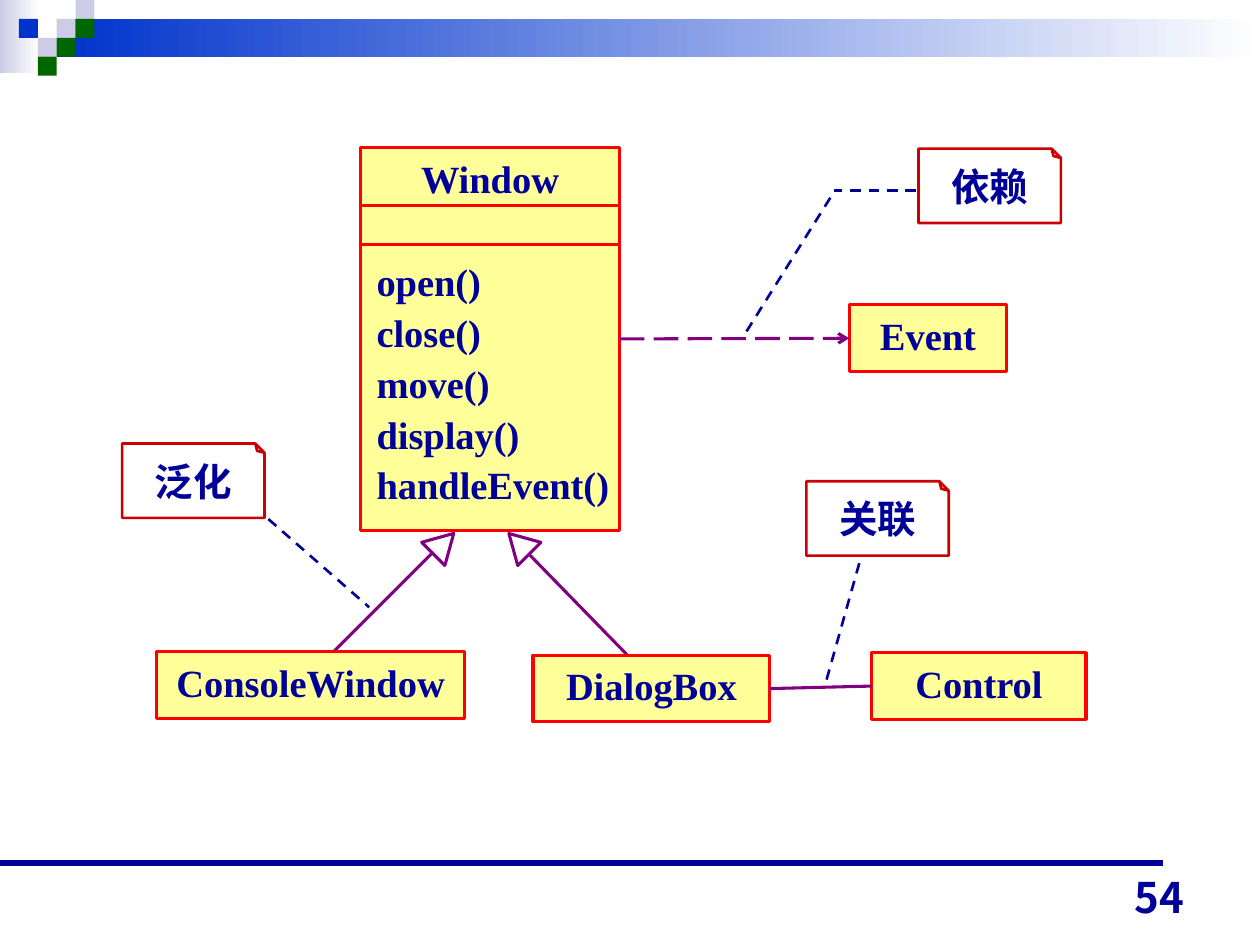
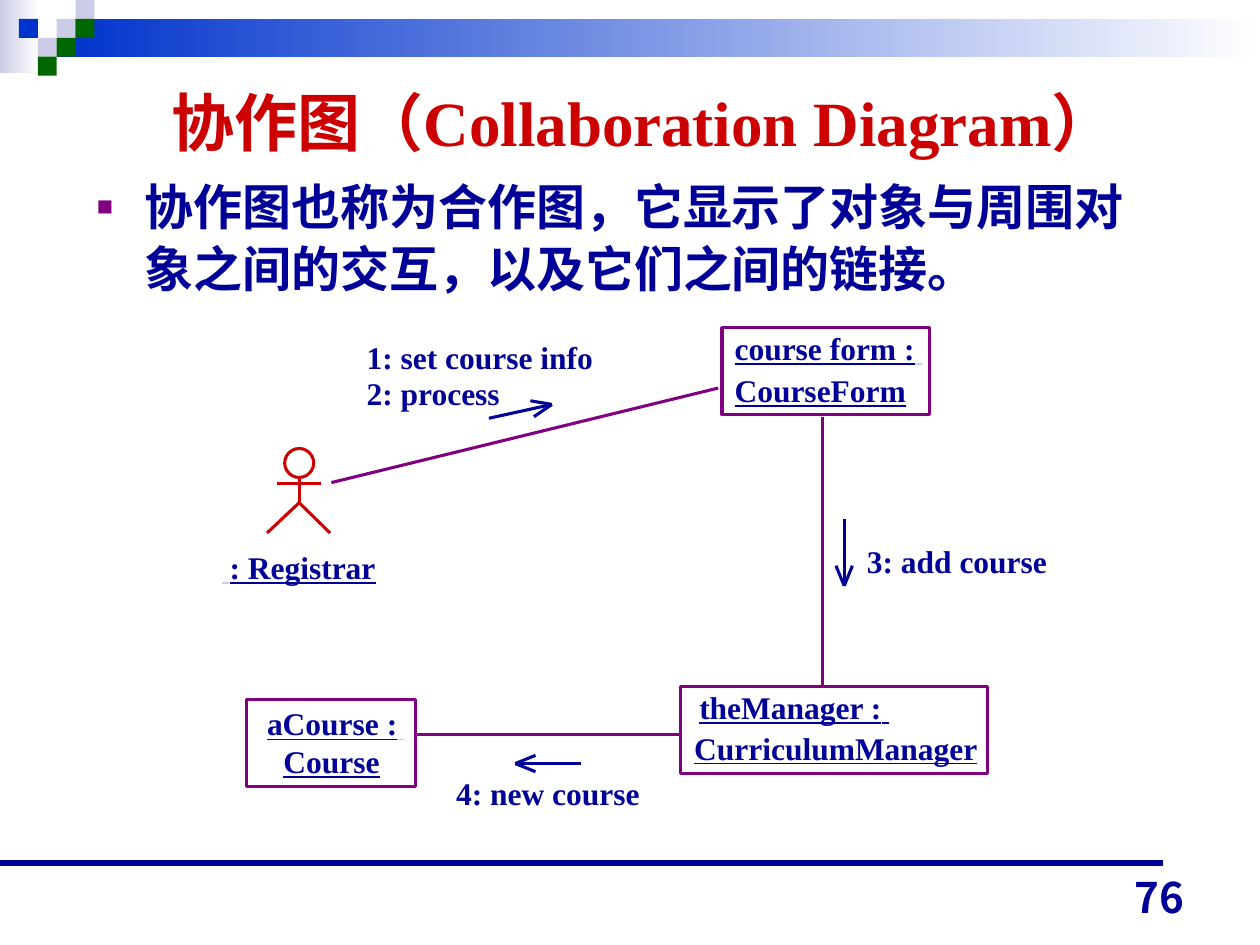
import math
from dataclasses import dataclass

import pptx
import pptx.dml.color
import pptx.enum.dml
import pptx.enum.shapes
import pptx.enum.text
import pptx.oxml.ns
import pptx.util
from lxml import etree

SHAPE = pptx.enum.shapes.MSO_SHAPE
ALIGN = pptx.enum.text.PP_ALIGN
ANCHOR = pptx.enum.text.MSO_ANCHOR
DASH = pptx.enum.dml.MSO_LINE
Pt = pptx.util.Pt
COLUMNS, ROWS = 100, 75


@dataclass(frozen=True)
class Theme:
    navy: str = "000099"
    red: str = "CC0000"
    purple: str = "800080"
    class_line: str = "FF0000"
    class_fill: str = "FFFF99"
    blue: str = "0033CC"
    green: str = "006600"
    pale: str = "CCCCE6"
    white: str = "FFFFFF"
    serif: str = "Times New Roman"
    sans: str = "Arial"
    east_asian: str = "Noto Sans CJK JP"
    title_size: float = 36
    body_size: float = 28
    number_size: float = 24
    class_size: float = 22
    label_size: float = 18
    stroke: float = 1.75
    note_stroke: float = 1.5
    rule_stroke: float = 3.5


THEME = Theme()


def grid(cells):
    """Length of a number of grid cells; a cell is a tenth of an inch square."""
    return pptx.util.Inches(cells * 10 / COLUMNS)


def rgb(color):
    return pptx.dml.color.RGBColor.from_string(color)


def add_xml(parent, tag, **attributes):
    return etree.SubElement(parent, pptx.oxml.ns.qn(tag), attributes)


def set_all(target, values):
    for name, value in values.items():
        setattr(target, name, value)


def format_line(line, color, width, dash=None):
    line.color.rgb = rgb(color)
    set_all(line, {"width": Pt(width), "dash_style": dash})


def add_box(slide, kind, area, fill=None, line=None, width=THEME.stroke):
    shape = slide.shapes.add_shape(kind, *map(grid, area))
    style_outline(shape, fill, line, width)
    return shape


def style_outline(shape, fill, line, width=THEME.stroke):
    shape.shadow.inherit = False
    if fill:
        shape.fill.solid()
        shape.fill.fore_color.rgb = rgb(fill)
    else:
        shape.fill.background()
    if line:
        format_line(shape.line, line, width)
    else:
        shape.line.fill.background()


def add_line(slide, start, end, color=THEME.purple, width=THEME.stroke, dash=None):
    connector = slide.shapes.add_connector(
        pptx.enum.shapes.MSO_CONNECTOR.STRAIGHT, *map(grid, (*start, *end)))
    format_line(connector.line, color, width, dash)
    add_xml(connector._element.spPr, "a:effectLst")
    return connector


def join_sides(slide, left_box, right_box, dash=None):
    connector = add_line(slide, (0, 0), (1, 1), dash=dash)
    connector.begin_connect(left_box, 3)
    connector.end_connect(right_box, 1)
    return connector


def setup_frame(shape, insets=(0, 0, 0, 0), anchor=ANCHOR.TOP):
    left, top, right, bottom = map(grid, insets)
    frame = shape.text_frame
    set_all(frame, {"word_wrap": True, "vertical_anchor": anchor,
                    "auto_size": pptx.enum.text.MSO_AUTO_SIZE.NONE,
                    "margin_left": left, "margin_top": top,
                    "margin_right": right, "margin_bottom": bottom})
    return frame


def add_run(paragraph, text, size, color=THEME.navy, font=THEME.serif,
            bold=True, underline=False):
    run = paragraph.add_run()
    run.text = text
    run.font.color.rgb = rgb(color)
    set_all(run.font, {"size": Pt(size), "name": font, "bold": bold,
                       "underline": underline})
    add_xml(run._r.get_or_add_rPr(), "a:ea", typeface=THEME.east_asian)


def write_lines(frame, lines, size, align=ALIGN.LEFT, spacing=1.0, gap=0, **font):
    for index, text in enumerate(lines):
        paragraph = frame.paragraphs[0] if index == 0 else frame.add_paragraph()
        set_all(paragraph, {"alignment": align, "line_spacing": spacing,
                            "space_before": Pt(gap if index else 0)})
        add_run(paragraph, text, size, **font)


def add_text(slide, area, lines, size, insets=(0, 0, 0, 0), anchor=ANCHOR.TOP, **style):
    box = slide.shapes.add_textbox(*map(grid, area))
    write_lines(setup_frame(box, insets, anchor), lines, size, **style)


def add_gradient(slide, area, color):
    """Band that fades from a colour on the left to white."""
    band = add_box(slide, SHAPE.RECTANGLE, area)
    band.fill.gradient()
    band.fill.gradient_angle = 0
    for stop, stop_color in zip(band.fill.gradient_stops, (color, THEME.white)):
        stop.color.rgb = rgb(stop_color)


def add_frame(slide, number):
    """Header band with its mosaic, footer rule and slide number."""
    tile = 1.5
    add_gradient(slide, (0, 0, 3.1, 5.8), THEME.pale)
    add_gradient(slide, (4.5, tile, COLUMNS - 4.5, 2 * tile), THEME.blue)
    mosaic = [(3, 1, THEME.pale), (4, 0, THEME.pale), (4, 1, THEME.green),
              (2, 2, THEME.pale), (1, 1, THEME.blue), (3, 2, THEME.green),
              (2, 3, THEME.green)]
    for column, row, color in mosaic:
        add_box(slide, SHAPE.RECTANGLE, (column * tile, row * tile, tile, tile), color)
    add_line(slide, (0, 68.5), (92.3, 68.5), THEME.navy, THEME.rule_stroke)
    add_text(slide, (71.7, 68.7, 23.3, 5), [number], THEME.number_size,
             (1, 0.5, 1, 0.5), ANCHOR.BOTTOM, align=ALIGN.RIGHT, font=THEME.east_asian)


def add_class(slide, area, name, anchor=ANCHOR.MIDDLE):
    box = add_box(slide, SHAPE.RECTANGLE, area, THEME.class_fill, THEME.class_line)
    write_lines(setup_frame(box, (1, 1, 1, 1), anchor), [name], THEME.class_size,
                ALIGN.CENTER, 0.9)
    return box


def add_note(slide, left, top, text, *leader):
    """Note with its corner folded at the top, and dashed leader lines."""
    area = (left, top, 11.3, 5.9)
    note = add_box(slide, SHAPE.FOLDED_CORNER, area, None, THEME.red, THEME.note_stroke)
    properties = note._element.spPr
    properties.find(pptx.oxml.ns.qn("a:xfrm")).set("flipV", "1")
    guides = next(properties.iter(pptx.oxml.ns.qn("a:avLst")))
    add_xml(guides, "a:gd", name="adj", fmla="val 12500")
    add_text(slide, area, [text], THEME.class_size, anchor=ANCHOR.MIDDLE,
             align=ALIGN.CENTER, font=THEME.east_asian)
    for start, end in leader:
        add_line(slide, start, end, THEME.navy, THEME.note_stroke, DASH.DASH)


def add_generalization(slide, child, parent, left, rotation):
    add_line(slide, child, parent)
    head = add_box(slide, SHAPE.ISOSCELES_TRIANGLE, (left, 42, 2.6, 2.3),
                   None, THEME.purple)
    head.rotation = rotation


def add_object(slide, area, top_inset, gap, *lines):
    """Object box; each line is its left indent, its text and its end-blank colour."""
    box = add_box(slide, SHAPE.RECTANGLE, area, None, THEME.purple)
    frame = setup_frame(box, (0, top_inset, 0, 0))
    for index, (indent, text, blank_color) in enumerate(lines):
        paragraph = frame.paragraphs[0] if index == 0 else frame.add_paragraph()
        set_all(paragraph, {"alignment": ALIGN.LEFT,
                            "space_before": Pt(gap if index else 0)})
        paragraph._p.get_or_add_pPr().set("marL", str(grid(indent)))
        add_run(paragraph, text, THEME.label_size, underline=True)
        if blank_color:
            add_run(paragraph, " ", THEME.label_size, blank_color, bold=False,
                    underline=True)


def add_message(slide, start, tip, label_at, *labels):
    """Open arrow made of a shaft and two barbs, with its labels."""
    length = math.dist(start, tip)
    ux, uy = ((t - s) / length for s, t in zip(start, tip))
    add_line(slide, start, tip, THEME.navy)
    for side in (-0.65, 0.65):
        barb = (tip[0] - 1.6 * ux - side * uy, tip[1] - 1.6 * uy + side * ux)
        add_line(slide, tip, barb, THEME.navy)
    left, top = label_at
    for row, label in enumerate(labels):
        add_text(slide, (left, top + 2.9 * row, 20, 3), [label], THEME.label_size)


def add_actor(slide, center, top, name):
    add_box(slide, SHAPE.OVAL, (center - 1.15, top, 2.3, 2.3), None, THEME.red)
    add_line(slide, (center, top + 2.3), (center, top + 4.3), THEME.red)
    add_line(slide, (center - 1.75, top + 2.8), (center + 1.75, top + 2.8), THEME.red)
    foot = top + 6.7
    builder = slide.shapes.build_freeform(grid(center - 2.55), grid(foot))
    builder.add_line_segments([(grid(center), grid(top + 4.3)),
                               (grid(center + 2.45), grid(foot))], close=False)
    style_outline(builder.convert_to_shape(), None, THEME.red)
    box = slide.shapes.add_textbox(*map(grid, (center - 6.15, top + 7.9, 14, 3)))
    paragraph = setup_frame(box).paragraphs[0]
    add_run(paragraph, " ", THEME.label_size, THEME.pale, bold=False, underline=True)
    add_run(paragraph, name, THEME.label_size, underline=True)


def add_title(slide, text):
    title = slide.shapes.title
    set_all(title, dict(zip(("left", "top", "width", "height"),
                            map(grid, (4.9, 6.4, 92.3, 6.5)))))
    frame = setup_frame(title, (0.6, 0.2, 0.6, 0.2), ANCHOR.MIDDLE)
    write_lines(frame, [text], THEME.title_size, ALIGN.CENTER, color=THEME.red)


def add_bullet(slide, area, text):
    box = slide.shapes.add_textbox(*map(grid, area))
    paragraph = setup_frame(box, (1.2, 0.6, 1.2, 0.6)).paragraphs[0]
    paragraph.line_spacing = 1.05
    properties = paragraph._p.get_or_add_pPr()
    properties.set("marL", str(grid(3.8)))
    properties.set("indent", str(-grid(3.8)))
    add_xml(add_xml(properties, "a:buClr"), "a:srgbClr", val=THEME.purple)
    add_xml(properties, "a:buSzPct", val="55000")
    add_xml(properties, "a:buFont", typeface=THEME.sans)
    add_xml(properties, "a:buChar", char="■")
    add_run(paragraph, text, THEME.body_size, font=THEME.sans)


def build_class_diagram(slide):
    add_frame(slide, "54")
    add_generalization(slide, (26.5, 51.7), (34.3, 43.9), 33.9, 45)
    add_generalization(slide, (49.8, 52), (42, 44), 39.9, 315)
    event = add_class(slide, (67.4, 24.2, 12.5, 5.3), "Event")
    add_class(slide, (12.4, 51.7, 24.5, 5.3), "ConsoleWindow")
    dialog = add_class(slide, (42.3, 52, 18.8, 5.3), "DialogBox")
    control = add_class(slide, (69.2, 51.8, 17, 5.3), "Control")
    window = add_class(slide, (28.6, 11.7, 20.6, 30.4), "Window", ANCHOR.TOP)
    for row in (16.3, 19.4):
        add_line(slide, (28.6, row), (49.2, row), THEME.class_line)
    operations = ["open()", "close()", "move()", "display()", "handleEvent()"]
    add_text(slide, (28.9, 19.8, 21.4, 21), operations, THEME.class_size,
             (1, 0.5, 1, 0.5), spacing=1.05, gap=1.4)
    dependency = join_sides(slide, window, event, DASH.LONG_DASH)
    add_xml(dependency.line._get_or_add_ln(), "a:tailEnd", type="arrow")
    join_sides(slide, dialog, control)
    add_note(slide, 9.7, 35.2, "泛化", ((21.3, 41.2), (29.3, 48.2)))
    add_note(slide, 64, 38.2, "关联", ((68.2, 44.7), (65.5, 54.3)))
    add_note(slide, 72.9, 11.8, "依赖", ((72.7, 15.1), (66.2, 15.1)),
             ((65.9, 15.7), (59, 26.7)))


def build_collaboration_diagram(slide):
    add_frame(slide, "76")
    add_title(slide, "协作图（Collaboration Diagram）")
    add_bullet(slide, (6.5, 13.2, 86.4, 11.1),
               "协作图也称为合作图，它显示了对象与周围对象之间的交互，以及它们之间的链接。")
    add_actor(slide, 23.75, 35.6, ": Registrar")
    add_object(slide, (57.3, 26, 16.5, 6.9), 0.1, 2.3,
               (1, "course form :", THEME.pale), (1, "CourseForm", None))
    add_object(slide, (54, 54.5, 24.4, 6.9), 0.1, 1.6,
               (1.5, "theManager :", THEME.navy), (1.1, "CurriculumManager", None))
    add_object(slide, (19.6, 55.5, 13.4, 6.9), 0.4, 0,
               (1.6, "aCourse :", THEME.pale), (2.9, "Course", None))
    for start, end in [((26.3, 38.3), (57, 30.8)), ((65.3, 33.1), (65.3, 54.5)),
                       ((54, 58.3), (33, 58.3))]:
        add_line(slide, start, end)
    add_message(slide, (38.8, 33.2), (43.8, 32.1), (29.1, 26.8),
                "1: set course info", "2: process")
    add_message(slide, (67, 41.2), (67, 46.5), (68.8, 43), "3: add course")
    add_message(slide, (46.1, 60.6), (40.9, 60.6), (36.2, 61.4), "4: new course")


def main():
    presentation = pptx.Presentation()
    set_all(presentation, {"slide_width": grid(COLUMNS), "slide_height": grid(ROWS)})
    title_only, blank = presentation.slide_layouts[5], presentation.slide_layouts[6]
    build_class_diagram(presentation.slides.add_slide(blank))
    build_collaboration_diagram(presentation.slides.add_slide(title_only))
    presentation.save("out.pptx")


if __name__ == "__main__":
    main()
